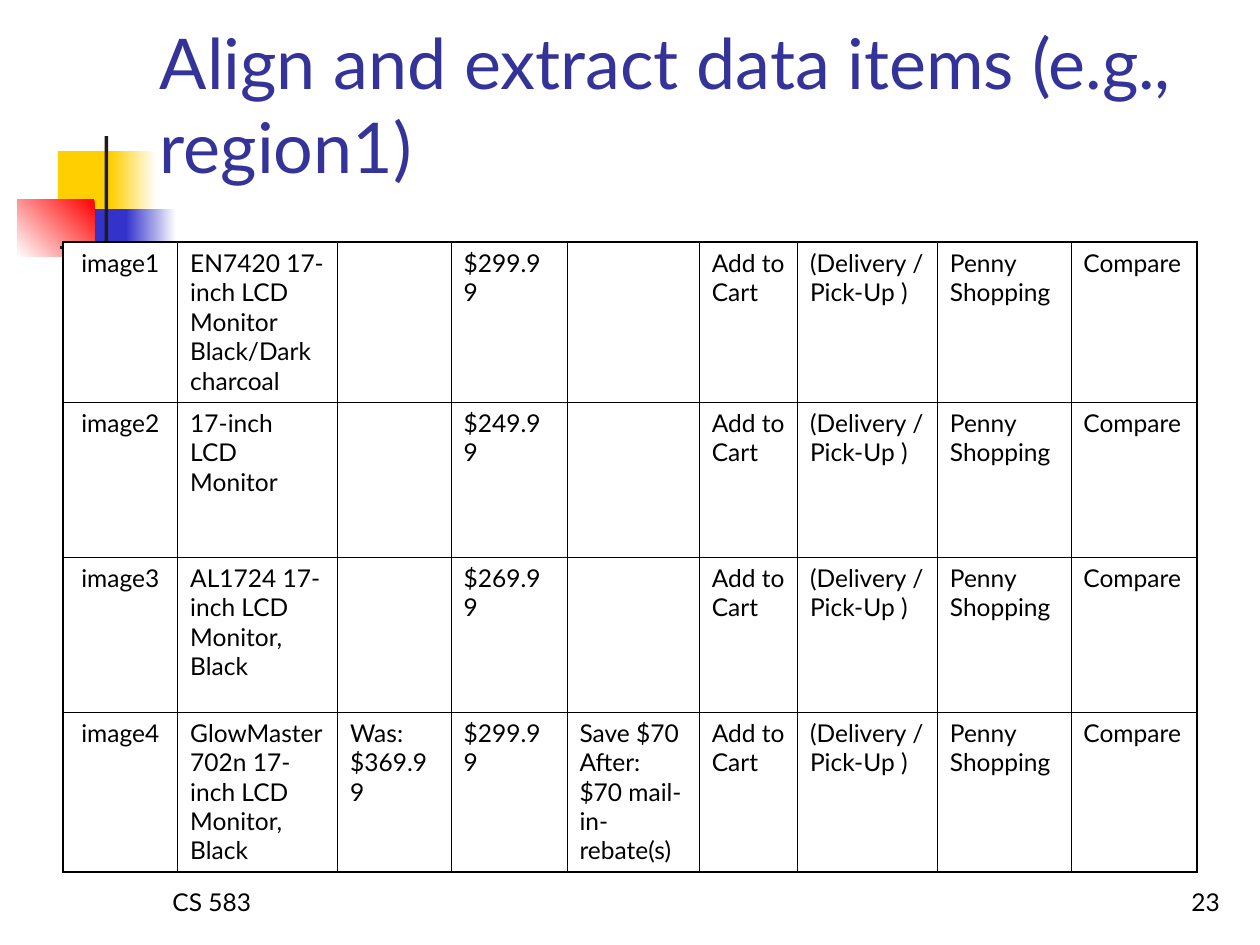
import pptx
import pptx.util
import pptx.dml.color
import pptx.enum.shapes
import pptx.enum.text
from dataclasses import dataclass
from lxml import etree
from pptx.util import Inches


@dataclass(frozen=True)
class Theme:
    font: str = "Lato"
    title: str = "333399"
    ink: str = "000000"
    paper: str = "FFFFFF"
    gold: str = "FFCF01"
    blue: str = "3333CC"
    red: str = "FF0000"
    dark: str = "1C1C1C"
    big: int = 40
    small: int = 14
    thin: float = 0.45
    thick: float = 1.08


theme = Theme()
rgb = pptx.dml.color.RGBColor.from_string
align = pptx.enum.text.PP_ALIGN


def write(frame, text, size, color, side=align.LEFT):
    frame.word_wrap = True
    para = frame.paragraphs[0]
    para.alignment = side
    run = para.add_run()
    run.text = text
    run.font.name = theme.font
    run.font.size = pptx.util.Pt(size)
    run.font.color.rgb = rgb(color)


def edge(cell, sides):
    """Draw the cell's borders; sides maps L, R, T, B, in that order, to points."""
    props = cell._tc.get_or_add_tcPr()
    ns = "{http://schemas.openxmlformats.org/drawingml/2006/main}"
    for spot, (side, width) in enumerate(sides.items()):
        line = etree.Element(ns + "ln" + side, w=str(pptx.util.Pt(width)))
        fill = etree.SubElement(line, ns + "solidFill")
        etree.SubElement(fill, ns + "srgbClr", val=theme.ink)
        props.insert(spot, line)


deck = pptx.Presentation()
deck.slide_width, deck.slide_height = Inches(10), Inches(7.5)
slide = deck.slides.add_slide(deck.slide_layouts[6])

# Corner ornament: box, then one colour, or two colours and an angle
blocks = [
    ((0.46, 1.2, 0.48, 0.52), [theme.gold], 0),
    ((0.88, 1.2, 0.36, 0.52), [theme.paper, theme.gold], 180),
    ((0.59, 1.66, 0.46, 0.52), [theme.blue], 0),
    ((1, 1.66, 0.4, 0.52), [theme.paper, theme.blue], 180),
    ((0.14, 1.58, 0.61, 0.46), [theme.red, theme.paper], 225),
    ((0.83, 1.08, 0.03, 1.15), [theme.dark], 0),
    ((0.48, 1.95, 9, 0.03), [theme.paper, theme.dark], 180),
]
for box, colors, angle in blocks:
    block = slide.shapes.add_shape(
        pptx.enum.shapes.MSO_SHAPE.RECTANGLE, *map(Inches, box))
    block.shadow.inherit = False
    block.line.fill.background()
    if len(colors) == 1:
        block.fill.solid()
        block.fill.fore_color.rgb = rgb(colors[0])
    else:
        block.fill.gradient()
        block.fill.gradient_angle = angle
        for stop, color in zip(block.fill.gradient_stops, colors):
            stop.color.rgb = rgb(color)

# Table of aligned data items
items = [
    ("EN7420 17-inch LCD Monitor Black/Dark charcoal", "", "$299.99", ""),
    ("17-inch LCD Monitor", "", "$249.99", ""),
    ("AL1724 17-inch LCD Monitor, Black", "", "$269.99", ""),
    ("GlowMaster 702n 17-inch LCD Monitor, Black", "Was: $369.99", "$299.99",
     "Save $70 After: $70 mail-in-rebate(s)"),
]
links = ("Add to Cart", "(Delivery / Pick-Up )", "Penny Shopping", "Compare")
widths = [0.91, 1.27, 0.9, 0.92, 1.05, 0.78, 1.11, 1.06, 1]
heights = [1.27, 1.23, 1.23, 1.27]
grid = slide.shapes.add_table(
    len(heights), len(widths), Inches(0.5), Inches(1.92), Inches(9), Inches(5)).table
grid.first_row = grid.horz_banding = False
for col, width in zip(grid.columns, widths):
    col.width = Inches(width)
for row, height in zip(grid.rows, heights):
    row.height = Inches(height)

for r, item in enumerate(items):
    for c, text in enumerate((f"image{r + 1}", *item, *links)):
        cell = grid.cell(r, c)
        cell.fill.solid()
        cell.fill.fore_color.rgb = rgb(theme.paper)
        outer = {"L": c == 0, "R": c == len(widths) - 1,
                 "T": r == 0, "B": r == len(items) - 1}
        edge(cell, {side: theme.thick if out else theme.thin
                    for side, out in outer.items()})
        if text:
            write(cell.text_frame, text, theme.small, theme.ink,
                  align.LEFT if c else align.CENTER)

# Title and footer
labels = [
    ((1.17, 0.29, 8.68, 1.25), "Align and extract data items (e.g., region1)",
     theme.big, theme.title, align.LEFT),
    ((7.7, 6.82, 2.08, 0.5), "23", theme.small, theme.ink, align.RIGHT),
    ((1.27, 6.82, 2.08, 0.5), "CS 583", theme.small, theme.ink, align.LEFT),
]
for box, text, size, color, side in labels:
    frame = slide.shapes.add_textbox(*map(Inches, box)).text_frame
    frame.vertical_anchor = pptx.enum.text.MSO_ANCHOR.BOTTOM
    write(frame, text, size, color, side)

deck.save("out.pptx")
